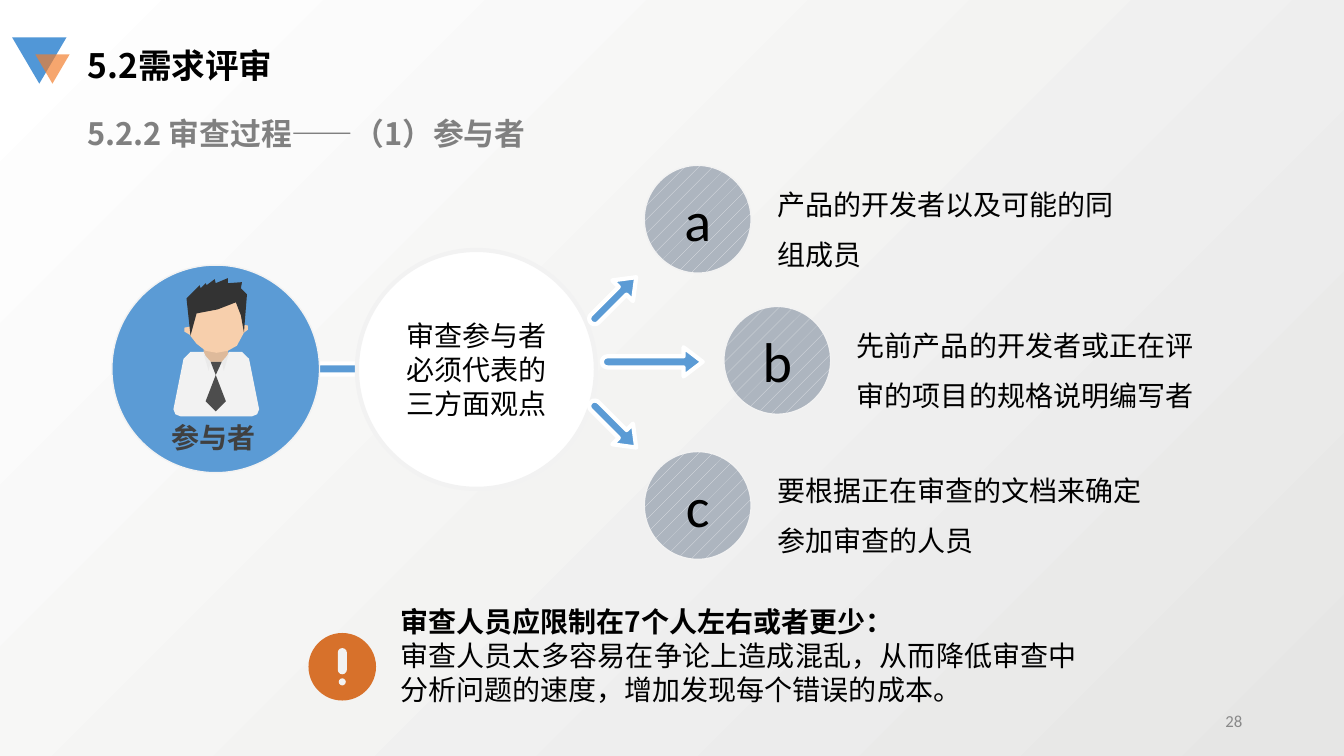
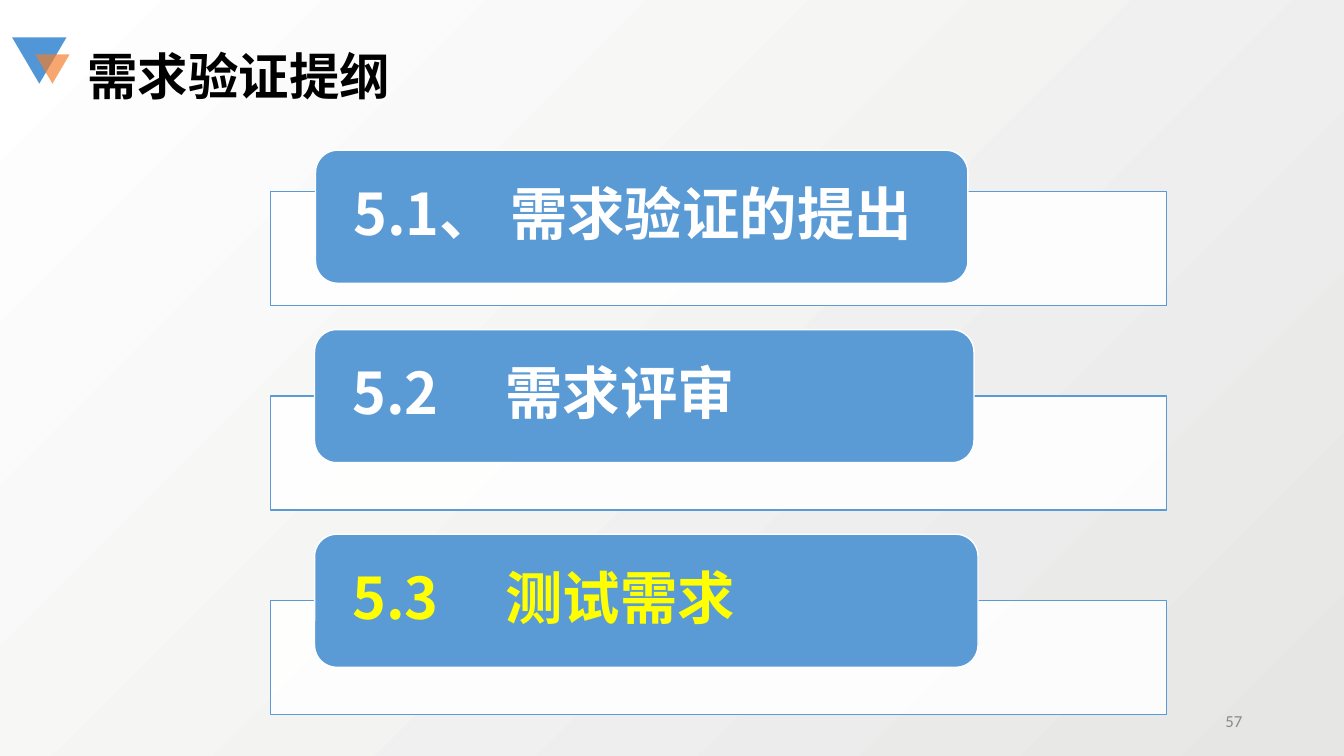
"""Build two slides on requirements review."""
import math
from collections import namedtuple

from lxml import etree
from pptx import Presentation
from pptx import util as u
from pptx.dml.color import RGBColor
from pptx.enum import dml, shapes, text
from pptx.oxml import ns

Box = namedtuple("Box", "left top width height")
Style = namedtuple("Style", "size color bold font")

CJK, LATIN = "Noto Sans CJK SC", "Calibri"
BLACK = RGBColor(0x00, 0x00, 0x00)
WHITE = RGBColor(0xFF, 0xFF, 0xFF)
YELLOW = RGBColor(0xFF, 0xFF, 0x00)
BLUE = RGBColor(0x5B, 0x9B, 0xD5)
MARK_BLUE = RGBColor(0x51, 0x97, 0xD7)
MARK_ORANGE = RGBColor(0xF3, 0x7D, 0x2A)
ALERT = RGBColor(0xD7, 0x71, 0x2B)
PALE = RGBColor(0xF2, 0xF2, 0xF2)
BACK_GREY = RGBColor(0xE6, 0xE6, 0xE5)
NUMBER_GREY = RGBColor(0x89, 0x89, 0x89)
SUBTITLE_GREY = RGBColor(0x80, 0x80, 0x80)
LABEL_GREY = RGBColor(0x40, 0x40, 0x40)
HATCH = RGBColor(0xE4, 0xE6, 0xEA)
STEEL = RGBColor(0xAD, 0xB5, 0xBF)
SKIN = RGBColor(0xF7, 0xCF, 0xAC)
NECK = RGBColor(0xDE, 0xBA, 0x9B)
HAIR = RGBColor(0x33, 0x33, 0x33)
TIE = RGBColor(0x4D, 0x4D, 0x4D)
COLLAR = RGBColor(0xEA, 0xEA, 0xEA)

BODY = Style(20, BLACK, False, CJK)
STRONG = Style(20, BLACK, True, CJK)
POINT = Style(20, BLACK, False, LATIN)
LETTER = Style(40, BLACK, False, LATIN)
LABEL = Style(20, LABEL_GREY, True, CJK)
SECTION = Style(24, BLACK, True, CJK)
SUBTITLE = Style(22, SUBTITLE_GREY, True, CJK)
HEADING = Style(36, BLACK, True, CJK)
NUMBER = Style(12, NUMBER_GREY, False, LATIN)
ENTRY = Style(41, WHITE, True, CJK)
CURRENT = Style(41, YELLOW, True, CJK)

LEFT, CENTER = text.PP_ALIGN.LEFT, text.PP_ALIGN.CENTER
RIGHT, JUSTIFY = text.PP_ALIGN.RIGHT, text.PP_ALIGN.JUSTIFY
TOP, MIDDLE, BOTTOM = (text.MSO_ANCHOR.TOP, text.MSO_ANCHOR.MIDDLE,
                       text.MSO_ANCHOR.BOTTOM)
OVAL, RECT = shapes.MSO_SHAPE.OVAL, shapes.MSO_SHAPE.RECTANGLE
ROUND, TRIANGLE = (shapes.MSO_SHAPE.ROUNDED_RECTANGLE,
                   shapes.MSO_SHAPE.ISOSCELES_TRIANGLE)

SHIRT_POINTS = [(.78, .86), (.91, .86), (.95, .96), (1.12, .96), (1.16, .86),
                (1.29, .86), (1.36, .93), (1.46, 1.43), (1.44, 1.48),
                (1.39, 1.5), (.68, 1.5), (.63, 1.48), (.61, 1.43), (.71, .93)]
TIE_POINTS = [(.98, .96), (1.09, .96), (1.03, 1.09), (1.13, 1.35),
              (1.03, 1.45), (.93, 1.35), (1.03, 1.09)]
FACE_POINTS = [(1.04, .26), (1.22, .27), (1.28, .4), (1.3, .59), (1.35, .6),
               (1.35, .64), (1.31, .67), (1.24, .8), (1.15, .85), (1.04, .87),
               (.93, .85), (.84, .78), (.77, .69), (.72, .66), (.72, .62),
               (.78, .61), (.8, .5), (.88, .34)]
HAIR_POINTS = [(.78, .7), (.74, .33), (.87, .2), (.88, .23), (.93, .18),
               (.94, .2), (1.02, .14), (1.03, .18), (1.15, .13), (1.15, .18),
               (1.29, .17), (1.28, .23), (1.34, .29), (1.31, .67), (1.28, .5),
               (1.23, .37), (1.05, .44), (.84, .48)]
COLLAR_SIDES = [[(.91, .88), (.98, .96), (.96, 1.05)],
                [(1.16, .88), (1.09, .96), (1.11, 1.05)]]


def inside(box, left, top, width, height):
    """Return a box at an offset from the corner of another one."""
    return Box(box.left + left, box.top + top, width, height)


def paint(shape, fill, line=None, weight=1, alpha=None):
    """Give a shape its fill, outline and opacity, without a shadow."""
    shape.shadow.inherit = False
    shape.fill.solid()
    shape.fill.fore_color.rgb = fill
    if alpha:
        color = shape.fill._xPr.find(".//" + ns.qn("a:srgbClr"))
        etree.SubElement(color, ns.qn("a:alpha"), val=str(alpha * 1000))
    if line is None:
        shape.line.fill.background()
    else:
        shape.line.color.rgb = line
        shape.line.width = u.Pt(weight)
    return shape


def add_preset(page, kind, box, fill, line=None, weight=1, alpha=None):
    """Add a painted preset shape."""
    shape = page.shapes.add_shape(kind, *map(u.Inches, box))
    return paint(shape, fill, line, weight, alpha)


def add_outline(page, points, fill, line=None, weight=1):
    """Add a painted polygon through points given in inches."""
    corners = [(u.Inches(x), u.Inches(y)) for x, y in points]
    builder = page.shapes.build_freeform(*corners[0], scale=1.0)
    builder.add_line_segments(corners[1:], close=True)
    return paint(builder.convert_to_shape(), fill, line, weight)


def write(shape, lines, align=LEFT, anchor=TOP, margins=(.1, .05),
          spacing=None, tab=None):
    """Write (text, style) lines into a shape, one paragraph each."""
    frame = shape.text_frame
    frame.word_wrap = True
    frame.vertical_anchor = anchor
    frame.margin_left = frame.margin_right = u.Inches(margins[0])
    frame.margin_top = frame.margin_bottom = u.Inches(margins[1])
    for index, (words, style) in enumerate(lines):
        para = frame.add_paragraph() if index else frame.paragraphs[0]
        para.alignment = align
        if spacing:
            para.line_spacing = spacing
        if tab:
            stops = etree.SubElement(para._p.get_or_add_pPr(), ns.qn("a:tabLst"))
            etree.SubElement(stops, ns.qn("a:tab"), pos=str(u.Inches(tab)), algn="l")
        span = para.add_run()
        span.text = words
        span.font.size = u.Pt(style.size)
        span.font.bold = style.bold
        span.font.color.rgb = style.color
        span.font.name = style.font
        etree.SubElement(span._r.get_or_add_rPr(), ns.qn("a:ea"), typeface=CJK)


def add_text(page, box, lines, **layout):
    """Add a text box with the given lines."""
    write(page.shapes.add_textbox(*map(u.Inches, box)), lines, **layout)


def add_page(deck, title, style, number):
    """Add a page with the shared background, mark, title and number."""
    page = deck.slides.add_slide(deck.slide_layouts[6])
    fill = page.background.fill
    fill.gradient()
    fill.gradient_angle = 135
    for stop, position, color in zip(fill.gradient_stops, (0, 1),
                                     (BACK_GREY, WHITE)):
        stop.position = position
        stop.color.rgb = color
    for box, color, alpha in ((Box(.12, .37, .54, .46), MARK_BLUE, None),
                              (Box(.35, .54, .34, .29), MARK_ORANGE, 68)):
        add_preset(page, TRIANGLE, box, color, alpha=alpha).rotation = 180
    add_text(page, Box(.77, .4, 5.11, .7), [(title, style)])
    add_text(page, Box(9.42, 6.95, 3, .4), [(str(number), NUMBER)],
             align=RIGHT, anchor=MIDDLE)
    return page


def add_arrow(page, tail, tip):
    """Draw a block arrow with a round tail between two points."""
    length, angle = math.dist(tail, tip), math.atan2(tip[1] - tail[1],
                                                     tip[0] - tail[0])
    half, neck, barb = .055, length - .19, .145
    cap = [(half - half * math.sin(math.radians(turn)),
            half * math.cos(math.radians(turn))) for turn in range(0, 181, 20)]
    outline = cap + [(neck, -half), (neck, -barb), (length, 0),
                     (neck, barb), (neck, half)]
    cos, sin = math.cos(angle), math.sin(angle)
    add_outline(page, [(tail[0] + x * cos - y * sin, tail[1] + x * sin + y * cos)
                       for x, y in outline], BLUE, WHITE, 3)


def add_participant(page, box):
    """Draw the participant badge: disc, figure and label."""
    add_preset(page, OVAL, box, BLUE, PALE)
    add_preset(page, RECT, inside(box, .91, .75, .24, .21), NECK)
    parts = [(SHIRT_POINTS, PALE), (TIE_POINTS, TIE), (FACE_POINTS, SKIN),
             (HAIR_POINTS, HAIR)] + [(side, COLLAR) for side in COLLAR_SIDES]
    for points, color in parts:
        add_outline(page, [(box.left + x, box.top + y) for x, y in points], color)
    add_text(page, inside(box, .47, 1.5, 1.08, .38), [("参与者", LABEL)],
             align=CENTER, margins=(.07, .04))


def add_viewpoint(page, box, letter, words):
    """Draw a hatched letter disc with its explanation beside it."""
    disc = add_preset(page, OVAL, inside(box, 0, 0, 1.06, box.height), STEEL, PALE)
    disc.fill.patterned()
    disc.fill.pattern = dml.MSO_PATTERN.PERCENT_5
    disc.fill.fore_color.rgb = HATCH
    disc.fill.back_color.rgb = STEEL
    write(disc, [(letter, LETTER)], align=CENTER, anchor=MIDDLE)
    add_text(page, inside(box, 1.22, 0, box.width - 1.22, box.height),
             [(words, POINT)], spacing=1.5)


def add_warning(page, box):
    """Draw the exclamation sign and the advice on group size."""
    add_preset(page, OVAL, inside(box, 0, .11, .67, .67), ALERT)
    stroke = add_preset(page, ROUND, inside(box, .29, .26, .09, .26), PALE)
    stroke.adjustments[0] = .5
    add_preset(page, OVAL, inside(box, .3, .56, .07, .07), PALE)
    add_text(page, inside(box, .81, 0, box.width - .81, box.height),
             [("审查人员应限制在7个人左右或者更少：", STRONG),
              ("审查人员太多容易在争论上造成混乱，从而降低审查中"
               "分析问题的速度，增加发现每个错误的成本。", BODY)],
             align=JUSTIFY, anchor=BOTTOM)


def add_review_page(deck):
    """Build the page on who takes part in a review."""
    page = add_page(deck, "5.2需求评审", SECTION, 28)
    add_text(page, Box(.77, 1.09, 4.95, .47),
             [("5.2.2 审查过程——（1）参与者", SUBTITLE)])
    add_arrow(page, (3.12, 3.66), (3.92, 3.66))
    add_participant(page, Box(1.11, 2.63, 2.06, 2.06))
    hub = add_preset(page, OVAL, Box(3.54, 2.48, 2.37, 2.37), WHITE, PALE, 3)
    write(hub, [("审查参与者", BODY), ("必须代表的三方面观点", BODY)],
          align=CENTER, anchor=MIDDLE)
    for tail, tip in (((5.97, 3.59), (6.97, 3.59)),
                      ((5.86, 3.99), (6.31, 4.44)),
                      ((5.86, 3.2), (6.31, 2.75))):
        add_arrow(page, tail, tip)
    for left, top, width, letter, words in (
            (6.39, 1.64, 4.97, "a", "产品的开发者以及可能的同组成员"),
            (7.18, 3.04, 4.86, "b", "先前产品的开发者或正在评审的项目的规格说明编写者"),
            (6.39, 4.48, 5.3, "c", "要根据正在审查的文档来确定参加审查的人员")):
        add_viewpoint(page, Box(left, top, width, 1.07), letter, words)
    add_warning(page, Box(3.06, 6.17, 7.72, .88))


def add_entry(page, box, tab_box, words, style):
    """Draw an outline panel with a rounded tab over it."""
    add_preset(page, RECT, box, WHITE, BLUE, alpha=90)
    tab = add_preset(page, ROUND, inside(box, *tab_box), BLUE, WHITE)
    write(tab, [(words, style)], anchor=MIDDLE, margins=(.31, .06),
          spacing=.9, tab=1.52)


def add_outline_page(deck):
    """Build the chapter outline page."""
    page = add_page(deck, "需求验证提纲", HEADING, 57)
    entries = ((.45, -.41, 6.47, "5.1、 需求验证的提出", ENTRY),
               (.44, -.66, 6.54, "5.2\t需求评审", ENTRY),
               (.44, -.66, 6.58, "5.3\t测试需求", CURRENT))
    for row, (left, top, width, words, style) in enumerate(entries):
        add_entry(page, Box(2.68, 1.9 + row * 2.03, 8.89, 1.13),
                  Box(left, top, width, 1.32), words, style)


def main():
    """Build and save the deck."""
    deck = Presentation()
    deck.slide_width, deck.slide_height = u.Inches(13.33), u.Inches(7.5)
    add_review_page(deck)
    add_outline_page(deck)
    deck.save("out.pptx")


if __name__ == "__main__":
    main()
